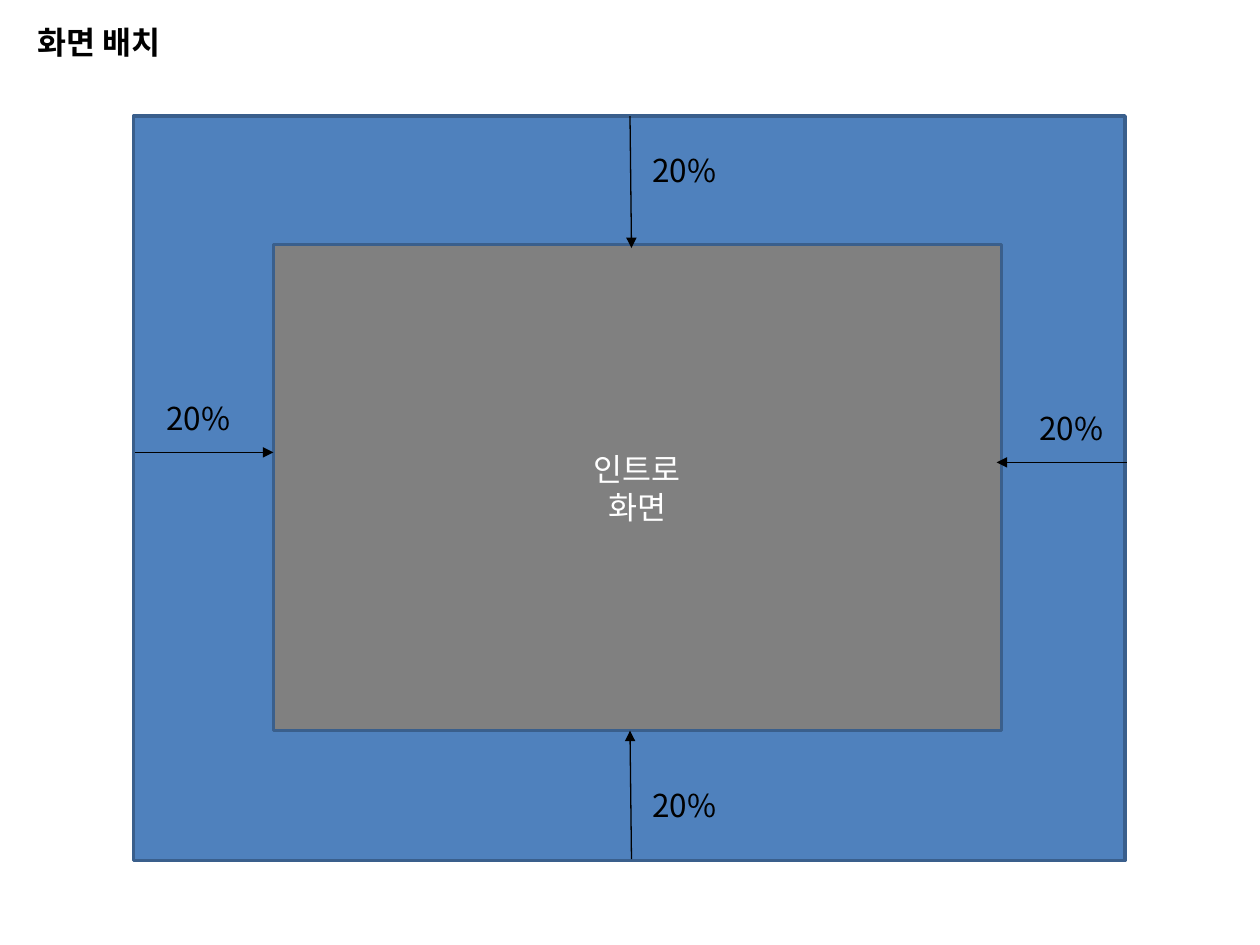
"""Build the screen layout slide with an intro area and its margins."""
import pptx
import pptx.dml.color
import pptx.enum.dml
import pptx.enum.shapes
import pptx.enum.text
import pptx.oxml.ns
import pptx.util
import lxml.etree

Cm = pptx.util.Cm
Pt = pptx.util.Pt
qn = pptx.oxml.ns.qn

FONT = "Noto Sans CJK KR"
COLORS = {"margin": "4F81BD", "intro": "808080", "border": "3A5F8C",
          "text": "000000", "light": "FFFFFF"}

TITLE = ("화면 배치", (0.51, 0.33, 24.21, 1.02))
SCREENS = [
    ("margin", (2.69, 2.34, 19.99, 15.01), []),
    ("intro", (5.51, 4.93, 14.68, 9.8), ["인트로", "화면"]),
]
MARGIN = "20%"
LABEL_SIZE = (2.01, 1.02)
MARGINS = [
    {"arrow": (12.7, 2.34, 12.73, 5), "label": (12.9, 2.92)},
    {"arrow": (12.73, 17.32, 12.7, 14.73), "label": (12.9, 15.72)},
    {"arrow": (2.72, 9.12, 5.51, 9.12), "label": (3.1, 7.92)},
    {"arrow": (22.71, 9.32, 20.09, 9.32), "label": (20.7, 8.13)},
]


def color(name):
    return pptx.dml.color.RGBColor.from_string(COLORS[name])


def write(frame, lines, ink, bold=False, align=pptx.enum.text.PP_ALIGN.LEFT):
    frame.word_wrap = True
    for index, line in enumerate(lines):
        para = frame.add_paragraph() if index else frame.paragraphs[0]
        para.text = line
        para.alignment = align
        para.font.name = FONT
        para.font.size = Pt(18)
        para.font.bold = bold
        para.font.color.rgb = color(ink)
        defaults = para._p.pPr.find(qn("a:defRPr"))
        lxml.etree.SubElement(defaults, qn("a:ea"), typeface=FONT)


def add_screen(page, fill, place, lines):
    box = page.shapes.add_shape(pptx.enum.shapes.MSO_SHAPE.RECTANGLE, *map(Cm, place))
    box.shadow.inherit = False
    box.fill.solid()
    box.fill.fore_color.rgb = color(fill)
    box.line.color.rgb = color("border")
    box.line.width = Pt(2)
    box.text_frame.vertical_anchor = pptx.enum.text.MSO_ANCHOR.MIDDLE
    write(box.text_frame, lines, "light", align=pptx.enum.text.PP_ALIGN.CENTER)


def add_text(page, text, place, bold=False):
    box = page.shapes.add_textbox(*map(Cm, place))
    write(box.text_frame, [text], "text", bold)
    box.text_frame.auto_size = pptx.enum.text.MSO_AUTO_SIZE.SHAPE_TO_FIT_TEXT


def add_arrow(page, ends):
    arrow = page.shapes.add_connector(
        pptx.enum.shapes.MSO_CONNECTOR.STRAIGHT, *map(Cm, ends))
    arrow.line.color.rgb = color("text")
    arrow.line.width = Pt(0.75)
    properties = arrow._element.spPr
    lxml.etree.SubElement(properties.find(qn("a:ln")), qn("a:tailEnd"), type="triangle")
    lxml.etree.SubElement(properties, qn("a:effectLst"))


deck = pptx.Presentation()
deck.slide_width = Cm(25.4)
deck.slide_height = Cm(19.05)
page = deck.slides.add_slide(deck.slide_layouts[6])

for fill, place, lines in SCREENS:
    add_screen(page, fill, place, lines)
for margin in MARGINS:
    add_arrow(page, margin["arrow"])
    add_text(page, MARGIN, margin["label"] + LABEL_SIZE)
add_text(page, *TITLE, bold=True)

deck.save("out.pptx")
